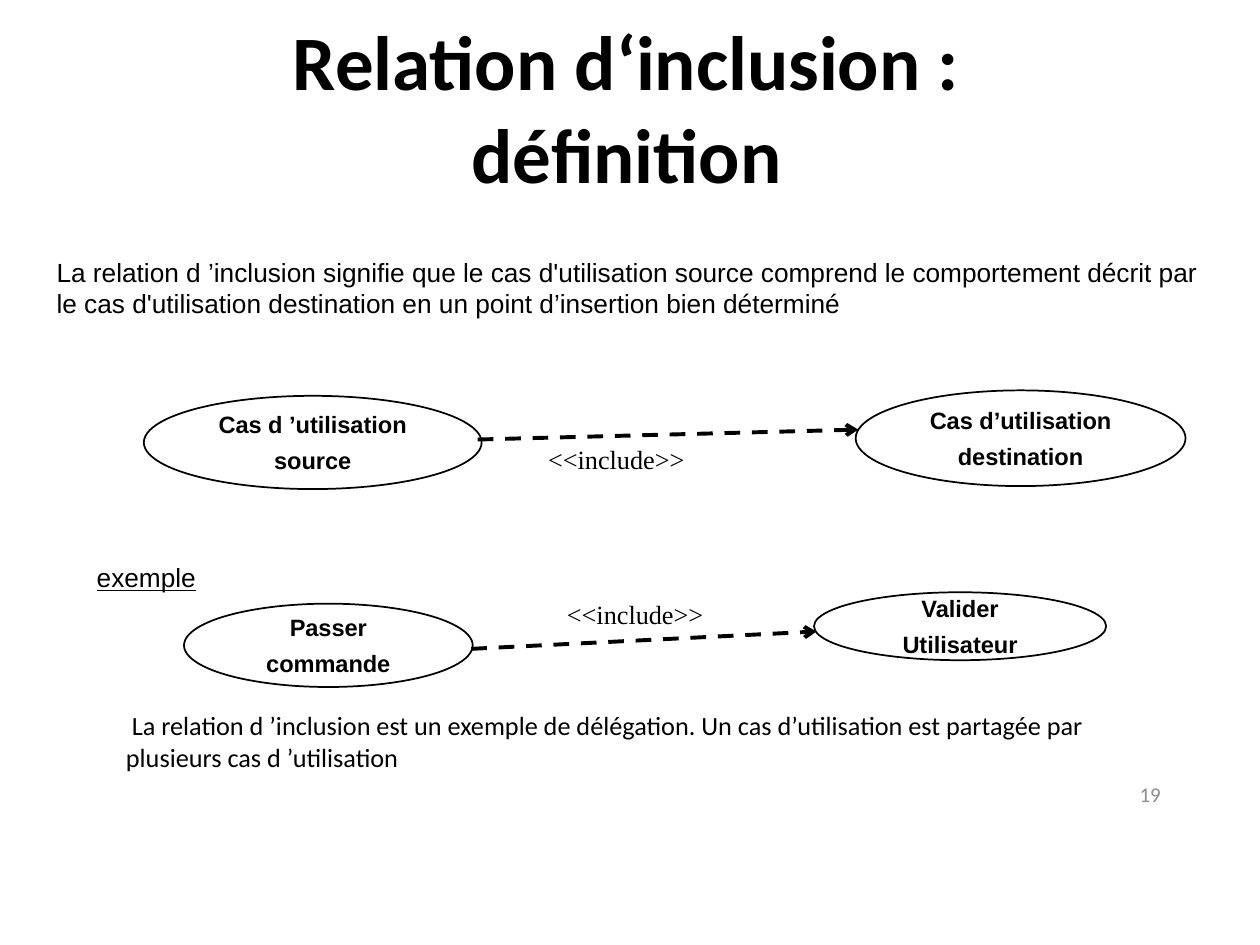
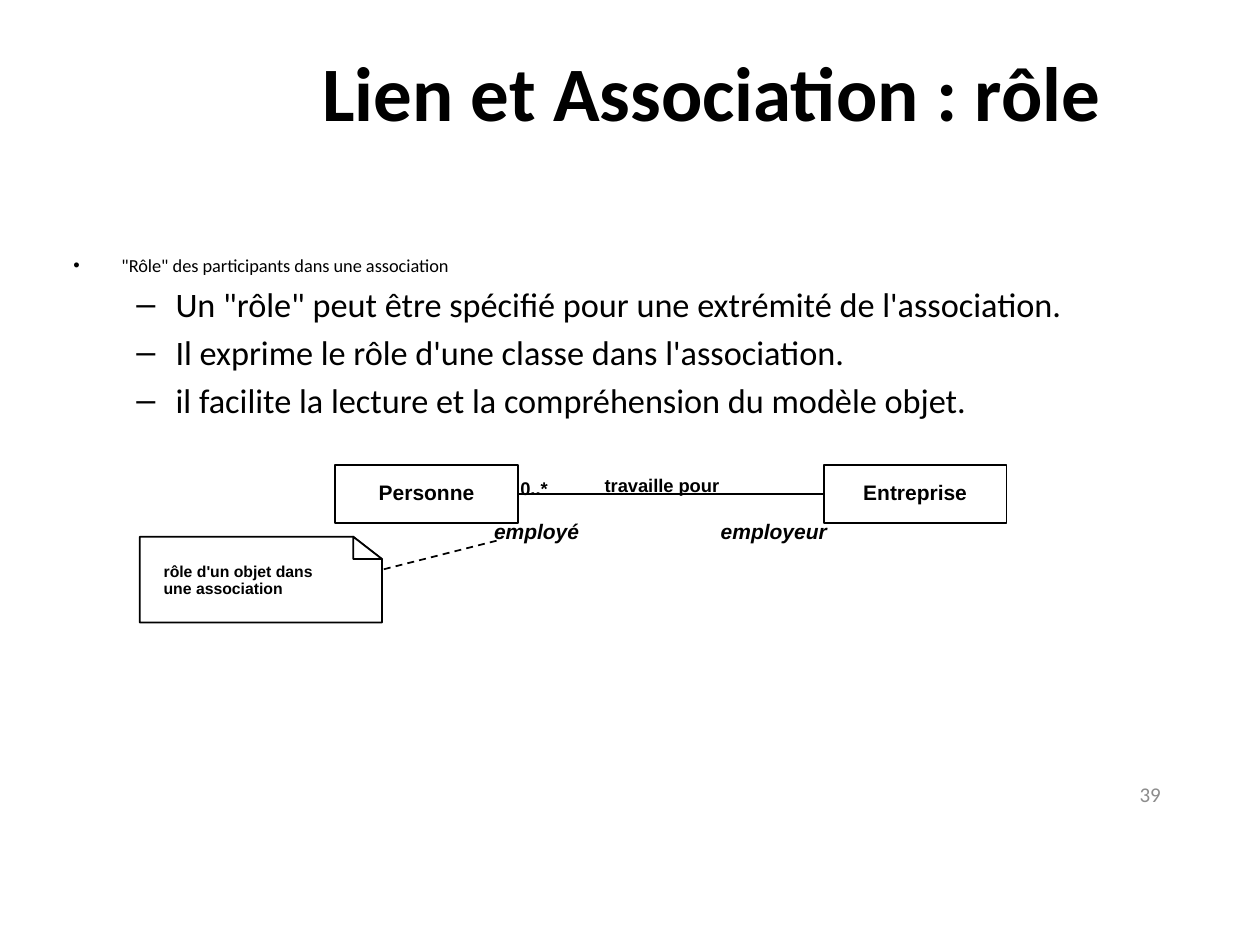
import pptx
import pptx.dml.color
import pptx.enum.dml
import pptx.enum.shapes
import pptx.enum.text
import pptx.oxml
import pptx.oxml.ns
import pptx.util
from pptx.util import Cm, Pt

MSO_SHAPE = pptx.enum.shapes.MSO_SHAPE
ALIGN = pptx.enum.text.PP_ALIGN
ANCHOR = pptx.enum.text.MSO_ANCHOR

COLORS = {"ink": "000000", "paper": "FFFFFF", "page": "8C8C8C"}
FONTS = {
    "title": {"name": "Calibri", "size": Pt(44), "bold": True},
    "text": {"name": "Arial", "size": Pt(15)},
    "heading": {"name": "Arial", "size": Pt(15), "underline": True},
    "remark": {"name": "Calibri", "size": Pt(15)},
    "stereotype": {"name": "Times New Roman", "size": Pt(15)},
    "case": {"name": "Arial", "size": Pt(13.5), "bold": True},
    "class": {"name": "Arial", "size": Pt(12), "bold": True},
    "role": {"name": "Arial", "size": Pt(12), "bold": True, "italic": True},
    "link": {"name": "Arial", "size": Pt(10.5), "bold": True},
    "note": {"name": "Arial", "size": Pt(9), "bold": True},
    "topic": {"name": "Calibri", "size": Pt(10.5)},
    "point": {"name": "Calibri", "size": Pt(19.6)},
    "page": {"name": "Calibri", "size": Pt(12)},
}
WIDE, NARROW = (0.25, 0.13), (0.18, 0.1)


def rgb(color):
    return pptx.dml.color.RGBColor.from_string(COLORS[color])


def set_all(obj, values):
    for name, value in values.items():
        setattr(obj, name, value)


def add_xml(parent, tag, **attrs):
    el = pptx.oxml.parse_xml(f"<a:{tag} {pptx.oxml.ns.nsdecls('a')}/>")
    for name, value in attrs.items():
        el.set(name, str(value))
    parent.append(el)


class Deck:
    def __init__(self):
        self.prs = pptx.Presentation()
        set_all(self.prs, {"slide_width": Cm(25.4), "slide_height": Cm(19.05)})

    def new_slide(self, title, at, number, wrap=True):
        self.s = self.prs.slides.add_slide(self.prs.slide_layouts[6])
        self.text(title, at, "title", wrap=wrap, align=ALIGN.CENTER,
                  anchor=ANCHOR.MIDDLE)
        self.text(str(number), (17.93, 15.62, 5.72, 0.76), "page", wrap=True,
                  align=ALIGN.RIGHT, anchor=ANCHOR.MIDDLE, color="page")

    def frame(self, sp, wrap=False, anchor=ANCHOR.TOP, insets=WIDE):
        tf = sp.text_frame
        x, y = map(Cm, insets)
        set_all(tf, {"word_wrap": wrap, "vertical_anchor": anchor,
                     "margin_left": x, "margin_right": x,
                     "margin_top": y, "margin_bottom": y})
        return tf

    def add_lines(self, tf, lines, font, align=ALIGN.LEFT, color="ink", before=0, spacing=1.0):
        for i, line in enumerate(lines):
            p = tf.add_paragraph() if i else tf.paragraphs[0]
            set_all(p, {"alignment": align, "line_spacing": spacing,
                        "space_before": Pt(before if i else 0)})
            self.add_words(p, line, font, color)

    def add_words(self, p, text, font, color="ink"):
        r = p.add_run()
        r.text = text
        set_all(r.font, FONTS[font])
        r.font.color.rgb = rgb(color)

    def text(self, text, at, font, wrap=False, anchor=ANCHOR.TOP, insets=WIDE, **fmt):
        sp = self.s.shapes.add_textbox(*map(Cm, at))
        self.add_lines(self.frame(sp, wrap, anchor, insets), text.split("\n"), font, **fmt)

    def outline(self, sp, filled=True):
        sp.shadow.inherit = False
        if filled:
            sp.fill.solid()
            sp.fill.fore_color.rgb = rgb("paper")
        else:
            sp.fill.background()
        sp.line.color.rgb = rgb("ink")
        sp.line.width = Pt(1)

    def shape(self, kind, at, text="", font="class", **fmt):
        sp = self.s.shapes.add_shape(kind, *map(Cm, at))
        self.outline(sp)
        if text:
            tf = self.frame(sp, True, ANCHOR.MIDDLE, NARROW)
            self.add_lines(tf, text.split("\n"), font, align=ALIGN.CENTER, **fmt)
        return sp

    def use_case(self, text, at):
        self.shape(MSO_SHAPE.OVAL, at, text, "case", before=4.5)

    def note(self, text, at, fold, text_at):
        """Box with its top right corner folded down."""
        x, y, w, h = at
        fw, fh = fold
        outline = [(x + w - fw, y), (x + w, y + fh), (x + w, y + h), (x, y + h)]
        fb = self.s.shapes.build_freeform(Cm(x), Cm(y))
        fb.add_line_segments([(Cm(a), Cm(b)) for a, b in outline])
        self.outline(fb.convert_to_shape(), filled=False)
        self.shape(MSO_SHAPE.RIGHT_TRIANGLE, (x + w - fw, y, fw, fh))
        self.text(text, text_at, "note", wrap=True, spacing=0.9)

    def line(self, start, end, width=1, dashed=False, arrow=False):
        c = self.s.shapes.add_connector(
            pptx.enum.shapes.MSO_CONNECTOR.STRAIGHT, *map(Cm, start + end))
        c.line.color.rgb = rgb("ink")
        c.line.width = Pt(width)
        if dashed:
            c.line.dash_style = pptx.enum.dml.MSO_LINE.DASH
        spPr = c._element.spPr
        if arrow:
            add_xml(spPr.find(pptx.oxml.ns.qn("a:ln")), "tailEnd", type="arrow")
        add_xml(spPr, "effectLst")
        return c

    def include(self, start, end, label_at):
        self.line(start, end, 2.25, dashed=True, arrow=True)
        self.text("<<include>>", label_at + (3.3, 0.81), "stereotype",
                  insets=(0.2, 0.1), spacing=0.95)

    def bullets(self, at, topic, points):
        sp = self.s.shapes.add_textbox(*map(Cm, at))
        tf = self.frame(sp, True, insets=NARROW)
        rows = [(topic, "topic", 0, "•", 0.97, 0.97)]
        rows += [(point, "point", 1, "–", 2.06, 0.79) for point in points]
        for i, (text, font, level, mark, left, hang) in enumerate(rows):
            p = tf.add_paragraph() if i else tf.paragraphs[0]
            set_all(p, {"level": level, "space_before": Pt(3.9 if i else 0)})
            pPr = p._p.get_or_add_pPr()
            pPr.set("marL", str(Cm(left)))
            pPr.set("indent", str(-Cm(hang)))
            add_xml(pPr, "buFont", typeface="Arial")
            add_xml(pPr, "buChar", char=mark)
            self.add_words(p, text, font)


def inclusion_slide(d):
    d.new_slide("Relation d‘inclusion : définition", (3.96, 1.37, 17.35, 1.55), 19)
    d.text("La relation d ’inclusion signifie que le cas d'utilisation source comprend "
           "le comportement décrit par le cas d'utilisation destination en un point "
           "d’insertion bien déterminé", (0.89, 5.03, 23.9, 1.55), "text", wrap=True)
    d.use_case("Cas d ’utilisation\nsource", (2.9, 7.98, 6.81, 1.88))
    d.use_case("Cas d’utilisation\ndestination", (17.25, 7.87, 6.65, 1.93))
    d.include((9.63, 8.86), (17.3, 8.66), (10.85, 8.89))

    d.text("exemple", (1.7, 11.18, 2.54, 0.89), "heading")
    d.use_case("Passer\ncommande", (3.71, 12.17, 5.82, 1.68))
    d.use_case("Valider\nUtilisateur", (16.41, 11.94, 5.89, 1.37))
    d.include((9.5, 13.08), (16.46, 12.73), (11.23, 12.01))
    d.text(" La relation d ’inclusion est un exemple de délégation. Un cas d’utilisation "
           "est partagée par plusieurs cas d ’utilisation",
           (2.29, 14.17, 21.59, 1.55), "remark", wrap=True)


def role_slide(d):
    d.new_slide("Lien et Association : rôle", (6.17, 0.76, 16.36, 2.13), 39, wrap=False)
    d.bullets((1.3, 5.03, 23.7, 4.06), "\"Rôle\" des participants dans une association", [
        "Un \"rôle\" peut être spécifié pour une extrémité de l'association.",
        "Il exprime le rôle d'une classe dans l'association.",
        "il facilite la lecture et la compréhension du modèle objet."])
    person, company = [
        d.shape(MSO_SHAPE.RECTANGLE, (x, 9.37, 3.68, 1.17), name, spacing=0.9)
        for x, name in ((6.76, "Personne"), (16.61, "Entreprise"))]
    works_for = d.line((10.44, 9.96), (16.61, 9.96))
    works_for.begin_connect(person, 3)
    works_for.end_connect(company, 1)
    for text, at, font, insets in (
            ("travaille pour", (12.01, 9.5, 2.72, 0.58), "link", NARROW),
            ("0..*", (10.24, 9.53, 1.07, 0.66), "link", WIDE),
            ("employé", (9.78, 10.41, 2.11, 0.66), "role", NARROW),
            ("employeur", (14.35, 10.41, 2.54, 0.66), "role", NARROW)):
        d.text(text, at, font, insets=insets, spacing=0.9)
    d.note("rôle d'un objet dans\nune association", (2.82, 10.82, 4.88, 1.73),
           (0.58, 0.45), (3.05, 11.23, 5.03, 0.94))
    d.line((10.01, 10.9), (7.72, 11.48), dashed=True)


def main():
    d = Deck()
    inclusion_slide(d)
    role_slide(d)
    d.prs.save("out.pptx")


if __name__ == "__main__":
    main()
